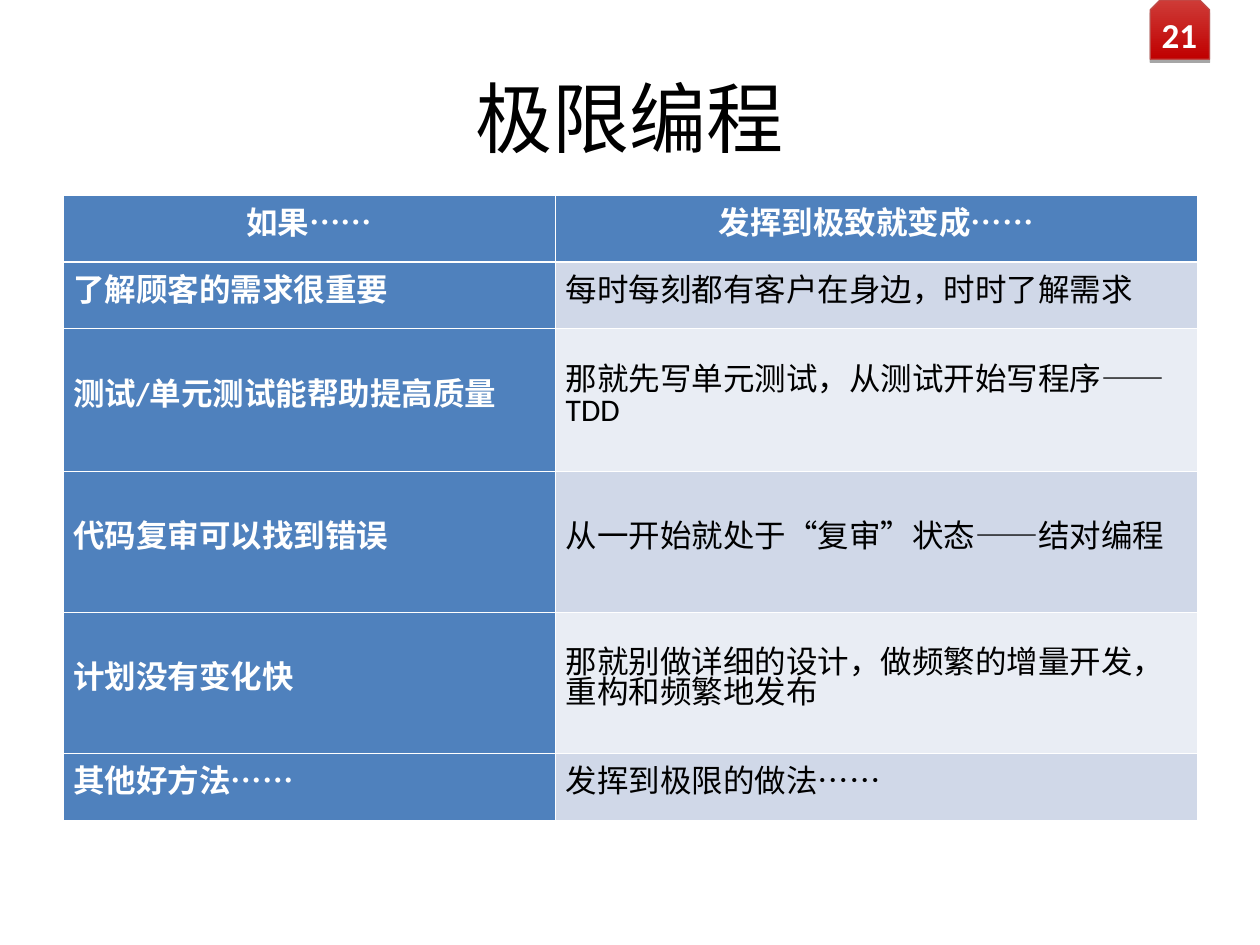
from dataclasses import dataclass

from lxml import etree
from pptx import Presentation
from pptx.dml.color import RGBColor
from pptx.enum.shapes import MSO_SHAPE
from pptx.enum.text import MSO_ANCHOR, PP_ALIGN
from pptx.oxml.ns import qn
from pptx.util import Inches, Pt

SNIPPED = MSO_SHAPE.SNIP_2_SAME_RECTANGLE
MIDDLE = MSO_ANCHOR.MIDDLE
LEFT, CENTER, RIGHT = PP_ALIGN.LEFT, PP_ALIGN.CENTER, PP_ALIGN.RIGHT


@dataclass(frozen=True)
class Theme:
    font: str = "Calibri"
    black: str = "000000"
    white: str = "FFFFFF"
    blue: str = "4F81BD"
    bands: tuple = ("D0D8E8", "E9EDF4")
    badge_bottom: str = "C00000"
    badge_top: str = "CE3B37"
    badge_line: str = "BE4B48"
    title_size: int = 44
    number_size: int = 20
    body_size: int = 18


theme = Theme()


def write(paragraph, text, size, color, bold, alignment):
    paragraph.alignment = alignment
    run = paragraph.add_run()
    run.text = text
    run.font.name = theme.font
    run.font.size = Pt(size)
    run.font.bold = bold
    run.font.color.rgb = RGBColor.from_string(color)


def set_border(cell, position, side, width):
    line = etree.Element(qn(f"a:ln{side}"), w=str(Pt(width)))
    fill = etree.SubElement(line, qn("a:solidFill"))
    etree.SubElement(fill, qn("a:srgbClr"), val=theme.white)
    cell._tc.get_or_add_tcPr().insert(position, line)


presentation = Presentation()
presentation.slide_width = Inches(10)
presentation.slide_height = Inches(7.5)
slide = presentation.slides.add_slide(presentation.slide_layouts[5])

badge = slide.shapes.add_shape(SNIPPED, Inches(9.13), 0, Inches(0.47), Inches(0.47))
badge.fill.gradient()
badge.fill.gradient_angle = 90
for stop, color in zip(badge.fill.gradient_stops, (theme.badge_bottom, theme.badge_top)):
    stop.color.rgb = RGBColor.from_string(color)
    stop.position = 0 if color == theme.badge_bottom else 1
badge.line.color.rgb = RGBColor.from_string(theme.badge_line)
badge.line.width = Pt(0.75)
badge.shadow.inherit = False
effects = badge._element.spPr.find(qn("a:effectLst"))
shadow = etree.SubElement(
    effects, qn("a:outerShdw"), blurRad="0", dist=str(Pt(1.8)), dir="5400000", rotWithShape="0"
)
shadow_color = etree.SubElement(shadow, qn("a:srgbClr"), val=theme.black)
etree.SubElement(shadow_color, qn("a:alpha"), val="35000")

number = slide.shapes.add_textbox(Inches(8.97), Inches(0.07), Inches(0.63), Inches(0.4))
number.text_frame.word_wrap = True
number.text_frame.vertical_anchor = MIDDLE
write(number.text_frame.paragraphs[0], "21", theme.number_size, theme.white, True, RIGHT)

title = slide.shapes.title
title.left, title.top = Inches(0.5), Inches(0.3)
title.width, title.height = Inches(9), Inches(1.25)
title.text_frame.vertical_anchor = MIDDLE
write(title.text_frame.paragraphs[0], "极限编程", theme.title_size, theme.black, False, CENTER)

rows = [
    ("如果……", "发挥到极致就变成……", 0.53),
    ("了解顾客的需求很重要", "每时每刻都有客户在身边，时时了解需求", 0.53),
    ("测试/单元测试能帮助提高质量", "那就先写单元测试，从测试开始写程序——TDD", 1.13),
    ("代码复审可以找到错误", "从一开始就处于“复审”状态——结对编程", 1.12),
    ("计划没有变化快", "那就别做详细的设计，做频繁的增量开发，重构和频繁地发布", 1.12),
    ("其他好方法……", "发挥到极限的做法……", 0.53),
]
table = slide.shapes.add_table(
    len(rows), 2, Inches(0.5), Inches(1.55), Inches(9), Inches(4.96)
).table
table.first_col = True
for column, width in zip(table.columns, (3.91, 5.09)):
    column.width = Inches(width)

for row_index, (practice, extreme, height) in enumerate(rows):
    table.rows[row_index].height = Inches(height)
    is_header = row_index == 0
    for column_index, text in enumerate((practice, extreme)):
        cell = table.cell(row_index, column_index)
        is_heading = is_header or column_index == 0
        cell.vertical_anchor = MIDDLE
        cell.margin_left = cell.margin_right = Inches(0.08)
        cell.margin_top = cell.margin_bottom = Inches(0.05)
        cell.fill.solid()
        fill_color = theme.blue if is_heading else theme.bands[(row_index - 1) % 2]
        cell.fill.fore_color.rgb = RGBColor.from_string(fill_color)
        top_width = 1.47 if row_index == 1 else 0.45
        bottom_width = 1.47 if is_header else 0.45
        for position, (side, width) in enumerate(
            zip("LRTB", (0.45, 0.45, top_width, bottom_width))
        ):
            set_border(cell, position, side, width)
        paragraph = cell.text_frame.paragraphs[0]
        paragraph.line_spacing = Pt(17)
        if not is_heading:
            paragraph.space_before = paragraph.space_after = Pt(1.5)
        text_color = theme.white if is_heading else theme.black
        alignment = CENTER if is_header else LEFT
        write(paragraph, text, theme.body_size, text_color, is_heading, alignment)

presentation.save("out.pptx")
